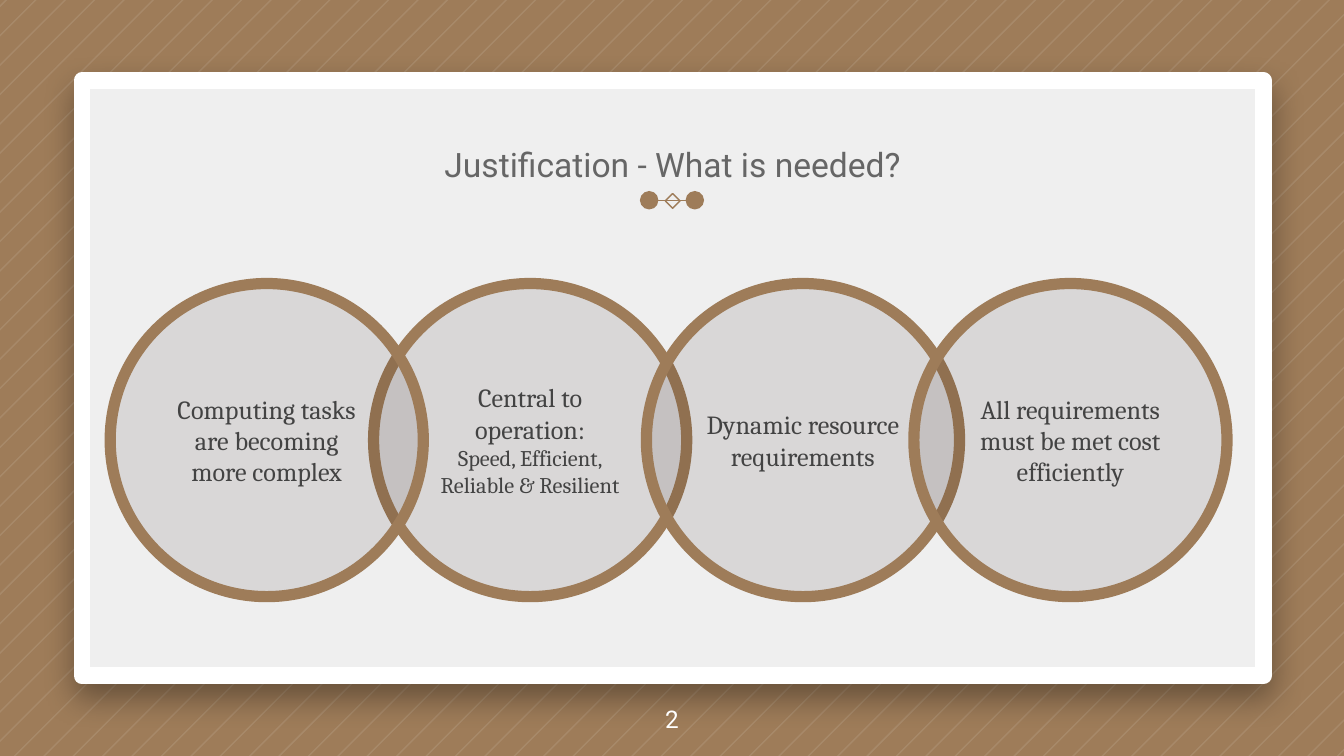
from dataclasses import dataclass

from lxml import etree
from pptx import Presentation
from pptx.dml.color import RGBColor
from pptx.enum.shapes import MSO_CONNECTOR, MSO_SHAPE
from pptx.enum.text import MSO_ANCHOR, MSO_AUTO_SIZE, PP_ALIGN
from pptx.oxml.ns import qn
from pptx.util import Inches, Pt

CENTER = PP_ALIGN.CENTER
MIDDLE = MSO_ANCHOR.MIDDLE
BOTTOM = MSO_ANCHOR.BOTTOM
NO_AUTOFIT = MSO_AUTO_SIZE.NONE
OVAL = MSO_SHAPE.OVAL
DIAMOND = MSO_SHAPE.DIAMOND
RECTANGLE = MSO_SHAPE.RECTANGLE
STRAIGHT = MSO_CONNECTOR.STRAIGHT

BROWN = RGBColor(0x9E, 0x7C, 0x59)
WHITE = RGBColor(0xFF, 0xFF, 0xFF)
PANEL_GRAY = RGBColor(0xEF, 0xEF, 0xEF)
TITLE_GRAY = RGBColor(0x66, 0x66, 0x66)
TEXT_GRAY = RGBColor(0x43, 0x43, 0x43)
RING_TINT = RGBColor(0x1A, 0x08, 0x08)

HEADING_FONT = "Roboto"
BODY_FONT = "Cambria"

SLIDE_W = 10
SLIDE_H = SLIDE_W * 9 / 16
STRIPE_COUNT = 72
STRIPE_START = 0.04
STRIPE_PITCH = 3.5 / 16
STRIPE_WIDTH = 0.03 / 2
RING_TOP = 2.11
RING_SIZE = 2.33


@dataclass(frozen=True)
class Line:
    text: str
    size: int = 14


@dataclass(frozen=True)
class Ring:
    left: float
    lines: tuple[Line, ...]


RINGS = (
    Ring(2.78, (Line("Central to operation:"),
                Line("Speed, Efficient, Reliable & Resilient", 12))),
    Ring(0.82, (Line("Computing tasks are becoming more complex"),)),
    Ring(4.81, (Line("Dynamic resource requirements"),)),
    Ring(6.8, (Line("All requirements must be met cost efficiently"),)),
)


def set_alpha(shape, percent: int) -> None:
    color = shape.fill._xPr.find(qn("a:solidFill"))[0]
    etree.SubElement(color, qn("a:alpha"), val=str(percent * 1000))


def write(frame, lines: tuple[Line, ...], font: str, color: RGBColor, anchor) -> None:
    frame.word_wrap = True
    frame.auto_size = NO_AUTOFIT
    frame.vertical_anchor = anchor
    frame.margin_left = frame.margin_right = Inches(0.1)
    frame.margin_top = frame.margin_bottom = Inches(0.1)
    for index, line in enumerate(lines):
        paragraph = frame.add_paragraph() if index else frame.paragraphs[0]
        paragraph.text = line.text
        paragraph.alignment = CENTER
        paragraph.font.size = Pt(line.size)
        paragraph.font.name = font
        paragraph.font.color.rgb = color


def stripe_edge(total: float) -> list[tuple[float, float]]:
    top = (min(total, SLIDE_W), max(0, total - SLIDE_W))
    bottom = (max(0, total - SLIDE_H), min(total, SLIDE_H))
    return [top, bottom]


def draw_stripes(slide) -> None:
    builder = slide.shapes.build_freeform(scale=1.0)
    for index in range(STRIPE_COUNT):
        start = STRIPE_START + index * STRIPE_PITCH
        corners = stripe_edge(start) + stripe_edge(start + STRIPE_WIDTH)[::-1]
        points = [(Inches(x), Inches(y)) for x, y in corners]
        builder.move_to(*points[0])
        builder.add_line_segments(points[1:], close=True)
    stripes = builder.convert_to_shape()
    stripes.shadow.inherit = False
    stripes.fill.solid()
    stripes.fill.fore_color.rgb = WHITE
    set_alpha(stripes, 10)
    stripes.line.fill.background()


def draw_panel(slide) -> None:
    panel = slide.shapes.add_shape(
        RECTANGLE, Inches(0.61), Inches(0.6), Inches(8.79), Inches(4.43))
    panel.fill.solid()
    panel.fill.fore_color.rgb = PANEL_GRAY
    panel.line.color.rgb = WHITE
    panel.line.width = Pt(9)
    panel.shadow.inherit = False
    effects = panel.element.spPr.find(qn("a:effectLst"))
    shadow = etree.SubElement(
        effects, qn("a:outerShdw"), blurRad=str(Pt(16.9)), dist=str(Pt(7.5)),
        dir=str(90 * 60000), algn="bl", rotWithShape="0")
    black = etree.SubElement(shadow, qn("a:srgbClr"), val="000000")
    etree.SubElement(black, qn("a:alpha"), val="35000")


def draw_ornament(slide) -> None:
    rule = slide.shapes.add_connector(
        STRAIGHT, Inches(4.83), Inches(1.49), Inches(5.17), Inches(1.49))
    rule.line.color.rgb = BROWN
    rule.line.width = Pt(0.75)
    outline = rule.line._get_or_add_ln()
    for end in ("a:headEnd", "a:tailEnd"):
        etree.SubElement(outline, qn(end), type="oval", w="lg", len="lg")
    etree.SubElement(rule.element.spPr, qn("a:effectLst"))

    diamond = slide.shapes.add_shape(
        DIAMOND, Inches(4.95), Inches(1.44), Inches(0.11), Inches(0.11))
    diamond.shadow.inherit = False
    diamond.fill.background()
    diamond.line.color.rgb = BROWN
    diamond.line.width = Pt(0.75)


def place_title(slide, text: str) -> None:
    title = slide.shapes.title
    title.left, title.top = Inches(0.99), Inches(0.81)
    title.width, title.height = Inches(8.03), Inches(0.66)
    write(title.text_frame, (Line(text, 18),), HEADING_FONT, TITLE_GRAY, BOTTOM)
    title.element.getparent().append(title.element)


def draw_ring(slide, ring: Ring) -> None:
    circle = slide.shapes.add_shape(
        OVAL, Inches(ring.left), Inches(RING_TOP), Inches(RING_SIZE), Inches(RING_SIZE))
    circle.shadow.inherit = False
    circle.fill.solid()
    circle.fill.fore_color.rgb = RING_TINT
    set_alpha(circle, 10)
    circle.line.color.rgb = BROWN
    circle.line.width = Pt(6)
    write(circle.text_frame, ring.lines, BODY_FONT, TEXT_GRAY, MIDDLE)


def draw_page_number(slide, number: str) -> None:
    page_number = slide.shapes.add_textbox(
        0, Inches(5.08), Inches(SLIDE_W), Inches(0.54))
    write(page_number.text_frame, (Line(number, 13),), HEADING_FONT, WHITE, MIDDLE)


def main() -> None:
    deck = Presentation()
    deck.slide_width = Inches(SLIDE_W)
    deck.slide_height = Inches(SLIDE_H)
    slide = deck.slides.add_slide(deck.slide_layouts[5])
    slide.background.fill.solid()
    slide.background.fill.fore_color.rgb = BROWN

    draw_stripes(slide)
    draw_panel(slide)
    draw_ornament(slide)
    place_title(slide, "Justification - What is needed?")
    for ring in RINGS:
        draw_ring(slide, ring)
    draw_page_number(slide, "2")
    deck.save("out.pptx")


if __name__ == "__main__":
    main()
